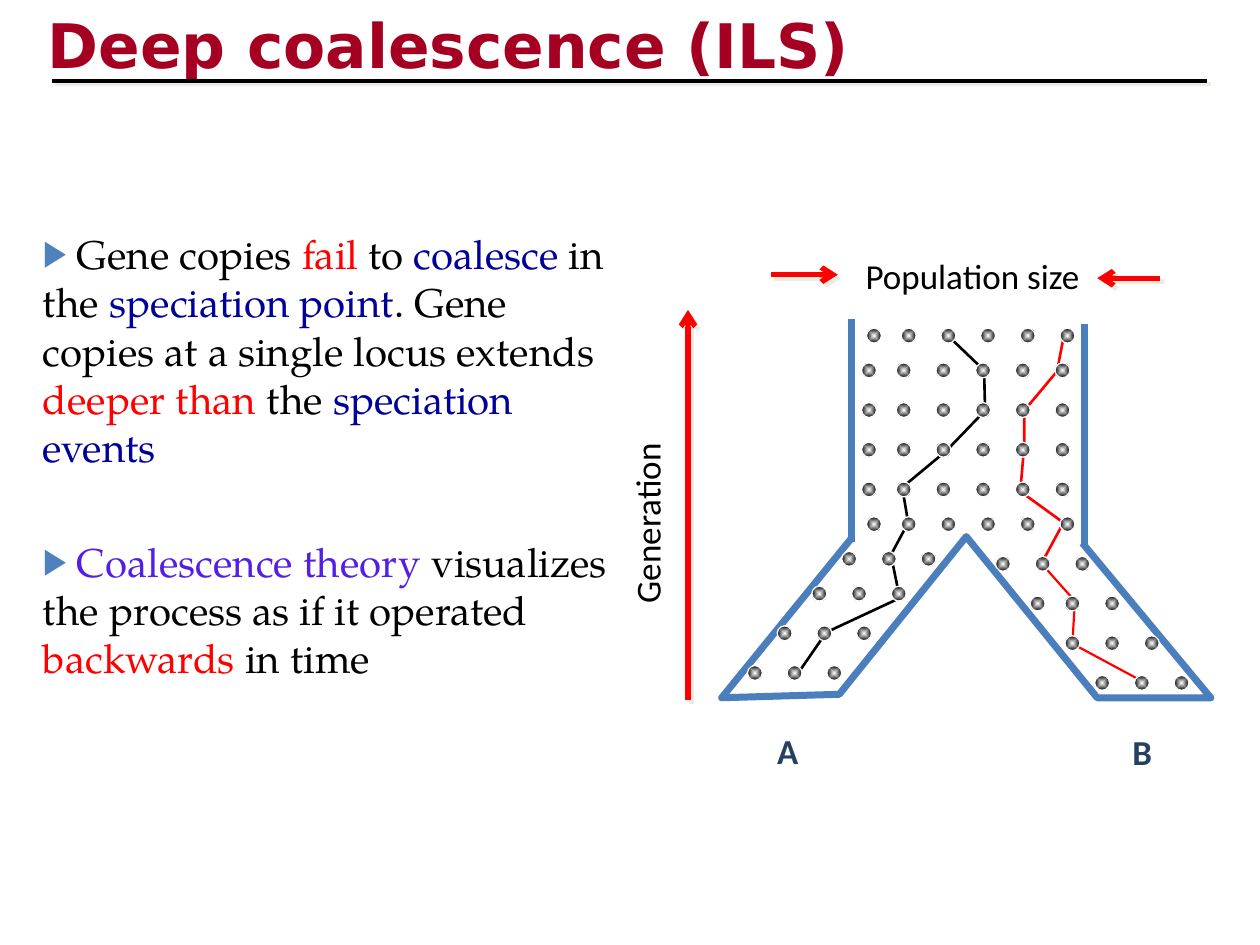
from lxml import etree
from pptx import Presentation, util as u
from pptx.dml.color import RGBColor
from pptx.enum import shapes, text
from pptx.oxml import parse_xml
from pptx.oxml.ns import nsdecls, qn

BLACK = RGBColor(0x00, 0x00, 0x00)
WHITE = RGBColor(0xFF, 0xFF, 0xFF)
RED = RGBColor(0xFF, 0x00, 0x00)
CRIMSON = RGBColor(0xA5, 0x00, 0x21)
NAVY = RGBColor(0x00, 0x00, 0x99)
VIOLET = RGBColor(0x53, 0x1F, 0xE7)
WALL = RGBColor(0x4B, 0x7E, 0xBC)
BULLET = RGBColor(0x4F, 0x81, 0xBD)
SLATE = RGBColor(0x25, 0x40, 0x61)
SHADOW = RGBColor(0xEE, 0xEC, 0xE1)

WIDTH, HEIGHT = u.Inches(10), u.Inches(7.5)
CELL = WIDTH / 254  # the diagram grid has 254 columns across the page

# Dots: row, first-to-last columns
TRUNK_WIDE = (36, 43, 51, 59, 67, 75)
TRUNK_SHIFTED = tuple(column + 1 for column in TRUNK_WIDE)
DOT_ROWS = [
    (5, TRUNK_SHIFTED), (12, TRUNK_WIDE), (20, TRUNK_WIDE),
    (28, TRUNK_WIDE), (36, TRUNK_WIDE), (43, TRUNK_SHIFTED),
    # branch A
    (50, (32, 40, 48)), (57, (26, 34, 42)),
    (65, (19, 27, 35)), (73, (13, 21, 29)),
    # branch B
    (51, (63, 71, 79)), (59, (70, 77, 85)),
    (67, (77, 85, 93)), (75, (83, 91, 99)),
]
# Gene lineages: colour, width, points from the lower end up
LINEAGES = [
    (RED, 1.5, [(71.1, 50.3), (75.2, 42.7), (66.5, 36.4), (67.3, 27),
                (67.3, 20.1), (73.9, 12.2), (75.4, 4.4)]),
    (BLACK, 1.5, [(40.1, 49.8), (43.9, 42.7), (42.7, 35.6), (51.6, 28.2),
                  (59.4, 20.1), (59.2, 12), (51.8, 4.9)]),
    (RED, 1.25, [(91.7, 75), (77, 67.1), (77.5, 58.5), (70.9, 51.1)]),
    (BLACK, 1.5, [(21.6, 73.2), (27.4, 64.8), (42.2, 57.9), (40.6, 50.1)]),
]
TRUNK_WALLS = [((32.5, 1.6), (32.5, 46.5)), ((79.5, 2.6), (79.5, 47.5))]
BRANCHES = [(32.5, 45.8), (6.3, 78), (30, 77.3), (55.6, 45.5),
            (82, 78), (104.9, 78), (79, 46.8)]
ARROWS = [((-0.5, 78.5), (-0.5, -0.2)),
          ((16.2, -7.3), (29.7, -7.3)), ((94.7, -6.6), (82, -6.6))]
# Labels: words, column, row, columns wide, rotation, colour, bold
LABELS = [
    ("Population size", 32.8, -12.7, 62, 0, BLACK, False),
    ("Generation", -29.7, 34.8, 42, 270, BLACK, False),
    ("B", 86.6, 83.4, 10.7, 0, SLATE, True),
    ("A", 15, 83.1, 10.7, 0, SLATE, True),
]
BODY = [
    [(" Gene copies ", BLACK), ("fail", RED), (" to ", BLACK),
     ("coalesce", NAVY), (" in the ", BLACK), ("speciation point", NAVY),
     (". Gene copies at a single locus extends ", BLACK),
     ("deeper than ", RED), ("the ", BLACK), ("speciation events", NAVY)],
    [(" Coalescence theory ", VIOLET),
     ("visualizes the process as if it operated ", BLACK),
     ("backwards", RED), (" in time", BLACK)],
]


def add_span(para, words, name, size, color, bold=False):
    span = para.add_run()
    span.text = words
    span.font.size, span.font.bold = u.Pt(size), bold
    span.font.color.rgb = color
    span.font.name = name
    return span


def add_effects(properties, shadow):
    effects = etree.SubElement(properties, qn("a:effectLst"))
    if shadow:
        effects.append(parse_xml(
            f'<a:outerShdw {nsdecls("a")} dist="35921" dir="2700000" algn="ctr" rotWithShape="0">'
            f'<a:srgbClr val="{SHADOW}"/></a:outerShdw>'))


def add_line(page, start, end, color, width, arrow=False, shadow=False):
    points = [round(value) for value in (*start, *end)]
    line = page.shapes.add_connector(shapes.MSO_CONNECTOR.STRAIGHT, *points)
    line.line.color.rgb = color
    line.line.width = u.Pt(width)
    if arrow:
        etree.SubElement(line.line._get_or_add_ln(), qn("a:tailEnd"), type="arrow")
    add_effects(line._element.spPr, shadow)


def add_outline(page, points, color, width):
    pen = page.shapes.build_freeform(*points[0])
    pen.add_line_segments(points[1:], close=False)
    outline = pen.convert_to_shape()
    outline.fill.background()
    outline.line.color.rgb = color
    outline.line.width = u.Pt(width)
    etree.SubElement(outline.line._get_or_add_ln(), qn("a:round"))
    outline.shadow.inherit = False


def add_dot(page, center):
    size = round(3 * CELL)
    x, y = (round(value - size / 2) for value in center)
    dot = page.shapes.add_shape(shapes.MSO_SHAPE.OVAL, x, y, size, size)
    dot.shadow.inherit = False
    dot.line.color.rgb = WHITE
    dot.line.width = u.Pt(0.75)
    dot.fill.background()
    properties = dot._element.spPr
    properties.replace(properties.find(qn("a:noFill")), parse_xml(
        f'<a:gradFill {nsdecls("a")} rotWithShape="1"><a:gsLst>'
        f'<a:gs pos="0"><a:srgbClr val="{WHITE}"/></a:gs>'
        f'<a:gs pos="100000"><a:srgbClr val="{BLACK}"/></a:gs></a:gsLst>'
        '<a:path path="shape"><a:fillToRect l="50000" t="50000" r="50000" b="50000"/>'
        '</a:path></a:gradFill>'))


def place(shape, box):
    shape.left, shape.top, shape.width, shape.height = (round(value) for value in box)


def add_title(page, box):
    title = page.shapes.title
    place(title, box)
    frame = title.text_frame
    frame.vertical_anchor = text.MSO_ANCHOR.MIDDLE
    frame.auto_size = text.MSO_AUTO_SIZE.NONE
    para = frame.paragraphs[0]
    para.alignment = text.PP_ALIGN.LEFT
    span = add_span(para, "Deep coalescence (ILS)", "DejaVu Sans", 35.1, CRIMSON, True)
    properties = span.font._element
    add_effects(properties, True)
    properties.append(properties.find(qn("a:latin")))  # typeface follows effects
    # Rule below the title
    rule = box[1] + box[3] * 0.94
    add_line(page, (WIDTH * 0.041, rule), (WIDTH * 0.958, rule), BLACK, 2.25, shadow=True)


def add_body(page, box):
    body = page.placeholders[1]
    place(body, box)
    frame = body.text_frame
    frame.auto_size = text.MSO_AUTO_SIZE.NONE
    for index, spans in enumerate(BODY):
        para = frame.add_paragraph() if index else frame.paragraphs[0]
        properties = para._p.get_or_add_pPr()
        properties.set("marL", "0")
        properties.set("indent", "0")
        color = etree.SubElement(properties, qn("a:buClr"))
        etree.SubElement(color, qn("a:srgbClr"), val=str(BULLET))
        etree.SubElement(properties, qn("a:buSzPct"), val="90000")
        etree.SubElement(properties, qn("a:buChar"), char="▶")
        para.space_before = u.Pt(38 * index)
        for words, color in spans:
            add_span(para, words, "TeX Gyre Pagella", 23, color)


def add_diagram(page, left, top):
    def at(point):
        return round(left + point[0] * CELL), round(top + point[1] * CELL)

    for color, width, points in LINEAGES:
        add_outline(page, [at(point) for point in points], color, width)
    # Species tree
    for start, end in TRUNK_WALLS:
        add_line(page, at(start), at(end), WALL, 4)
    add_outline(page, [at(point) for point in BRANCHES], WALL, 4)
    # Gene copies
    for row, columns in DOT_ROWS:
        for column in columns:
            add_dot(page, at((column, row)))
    # Axes and labels
    for start, end in ARROWS:
        add_line(page, at(start), at(end), RED, 3, arrow=True, shadow=True)
    for words, column, row, width, rotation, color, bold in LABELS:
        label = page.shapes.add_textbox(*at((column, row)), round(width * CELL), round(11.2 * CELL))
        label.rotation = rotation
        label.text_frame.word_wrap = True
        add_span(label.text_frame.paragraphs[0], words, "Calibri", 20, color, bold)


def main():
    deck = Presentation()
    deck.slide_width, deck.slide_height = WIDTH, HEIGHT
    page = deck.slides.add_slide(deck.slide_layouts[1])
    add_title(page, (WIDTH * 0.028, HEIGHT * 0.001, WIDTH * 0.85, HEIGHT * 0.09))
    add_body(page, (WIDTH * 0.024, HEIGHT * 0.236, WIDTH * 0.47, HEIGHT * 0.62))
    add_diagram(page, WIDTH * 0.548, HEIGHT * 0.329)
    deck.save("out.pptx")


if __name__ == "__main__":
    main()
